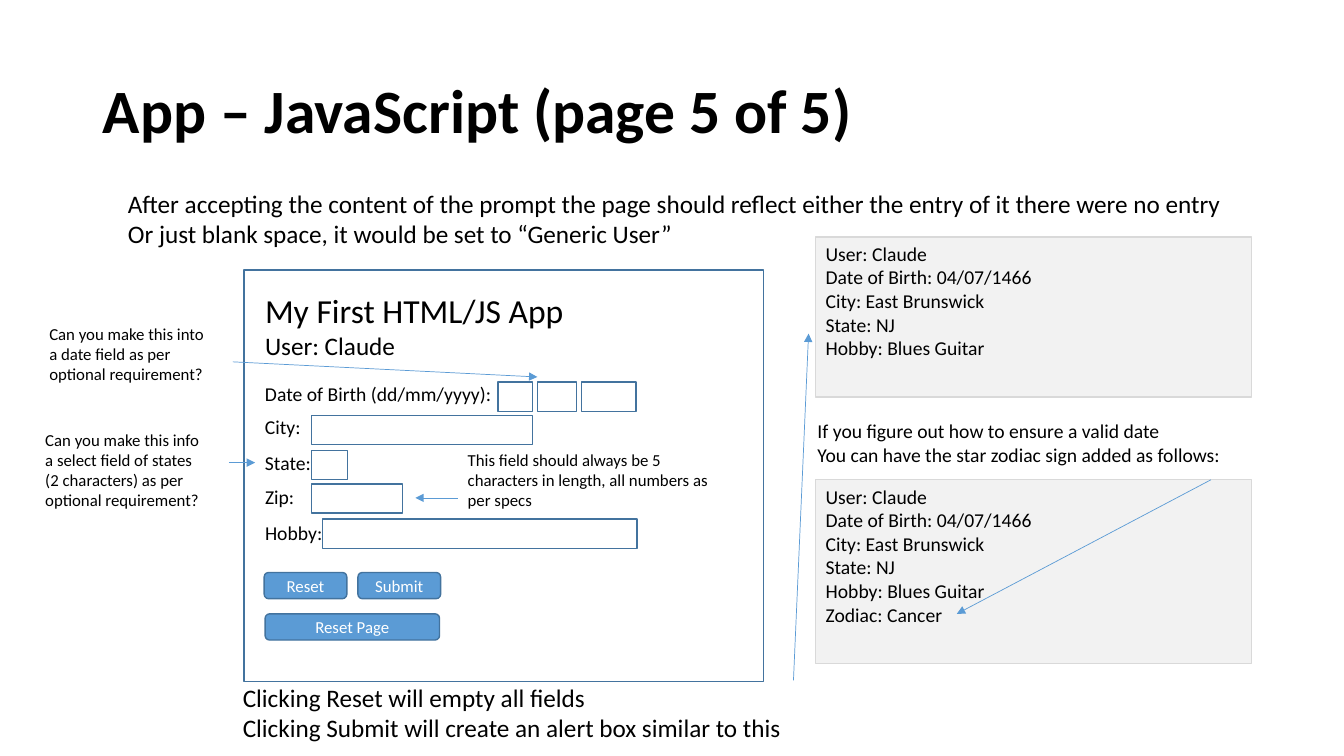
from dataclasses import dataclass

from lxml import etree
from pptx import Presentation
from pptx.dml.color import RGBColor
from pptx.enum import shapes, text
from pptx.oxml import ns
from pptx.util import Inches, Pt


@dataclass(frozen=True)
class Theme:
    font: str = "Calibri"
    black: str = "000000"
    white: str = "FFFFFF"
    blue: str = "5B9BD5"
    outline: str = "43739E"
    panel: str = "F2F2F2"
    panel_line: str = "D9D9D9"
    title: int = 44
    heading: int = 24
    body: int = 18
    label: int = 14
    note: int = 12


THEME = Theme()


@dataclass(frozen=True)
class Rect:
    left: float
    top: float
    width: float
    height: float

    def emu(self) -> tuple:
        return tuple(Inches(v) for v in (self.left, self.top, self.width, self.height))


@dataclass(frozen=True)
class Label:
    rect: Rect
    lines: list
    sizes: tuple
    wrap: bool = False


@dataclass(frozen=True)
class FormRow:
    label: str
    label_top: float
    label_width: float
    field_top: float
    fields: tuple


@dataclass(frozen=True)
class Button:
    caption: str
    left: float
    top: float
    width: float


@dataclass(frozen=True)
class Arrow:
    start: tuple
    end: tuple


def write(tf, lines: list, sizes: tuple, color: str = THEME.black, align=text.PP_ALIGN.LEFT) -> None:
    tf.text = "\n".join(lines)
    for i, p in enumerate(tf.paragraphs):
        p.alignment = align
        for r in p.runs:
            r.font.name = THEME.font
            r.font.size = Pt(sizes[min(i, len(sizes) - 1)])
            r.font.color.rgb = RGBColor.from_string(color)


def add_title(s, rect: Rect, caption: str) -> None:
    sp = s.shapes.title
    sp.left, sp.top, sp.width, sp.height = rect.emu()
    tf = sp.text_frame
    tf.vertical_anchor = text.MSO_ANCHOR.MIDDLE
    write(tf, [caption], (THEME.title,))
    p = tf.paragraphs[0]
    p.line_spacing = 0.9
    p.runs[0].font.bold = True


def add_label(s, label: Label) -> None:
    tf = s.shapes.add_textbox(*label.rect.emu()).text_frame
    tf.word_wrap = label.wrap
    tf.auto_size = text.MSO_AUTO_SIZE.SHAPE_TO_FIT_TEXT
    write(tf, label.lines, label.sizes)


def add_box(s, rect: Rect, fill: str = THEME.white, line: str = THEME.outline,
            kind=shapes.MSO_SHAPE.RECTANGLE):
    sp = s.shapes.add_shape(kind, *rect.emu())
    sp.shadow.inherit = False
    sp.fill.solid()
    sp.fill.fore_color.rgb = RGBColor.from_string(fill)
    sp.line.color.rgb = RGBColor.from_string(line)
    sp.line.width = Pt(1)
    return sp


def add_row(s, row: FormRow) -> None:
    add_label(s, Label(Rect(2.53, row.label_top, row.label_width, 0.34), [row.label], (THEME.label,)))
    for left, width in row.fields:
        add_box(s, Rect(left, row.field_top, width, 0.29))


def add_button(s, button: Button) -> None:
    rect = Rect(button.left, button.top, button.width, 0.26)
    tf = add_box(s, rect, THEME.blue, kind=shapes.MSO_SHAPE.ROUNDED_RECTANGLE).text_frame
    tf.vertical_anchor = text.MSO_ANCHOR.MIDDLE
    write(tf, [button.caption], (THEME.note,), THEME.white, text.PP_ALIGN.CENTER)


def add_alert(s, rect: Rect, lines: list) -> None:
    tf = add_box(s, rect, THEME.panel, THEME.panel_line).text_frame
    tf.vertical_anchor = text.MSO_ANCHOR.TOP
    write(tf, lines, (THEME.label,))


def add_arrow(s, arrow: Arrow) -> None:
    points = [Inches(v) for v in arrow.start + arrow.end]
    cxn = s.shapes.add_connector(shapes.MSO_CONNECTOR.STRAIGHT, *points)
    cxn.line.color.rgb = RGBColor.from_string(THEME.blue)
    cxn.line.width = Pt(0.5)
    etree.SubElement(cxn.line._get_or_add_ln(), ns.qn("a:tailEnd"), type="triangle")
    etree.SubElement(cxn._element.spPr, ns.qn("a:effectLst"))


ALERT = ["User: Claude", "Date of Birth: 04/07/1466", "City: East Brunswick", "State: NJ", "Hobby: Blues Guitar"]

LABELS = [
    Label(Rect(2.53, 2.83, 3.19, 0.81), ["My First HTML/JS App", "User: Claude"], (THEME.heading, THEME.body)),
    Label(Rect(1.17, 1.82, 11.25, 0.71),
          ["After accepting the content of the prompt the page should reflect either the entry of it there were no entry",
           "Or just blank space, it would be set to “Generic User”"], (THEME.body,)),
    Label(Rect(2.31, 6.72, 5.6, 0.71),
          ["Clicking Reset will empty all fields",
           "Clicking Submit will create an alert box similar to this"], (THEME.body,)),
    Label(Rect(8.01, 4.11, 4.23, 0.81),
          ["If you figure out how to ensure a valid date",
           "You can have the star zodiac sign added as follows:"], (THEME.label,)),
    Label(Rect(0.39, 3.16, 1.81, 0.71),
          ["Can you make this into a date field as per optional requirement?"], (THEME.note,), True),
    Label(Rect(0.35, 4.21, 1.81, 0.91),
          ["Can you make this info a select field of states (2 characters) as per optional requirement?"],
          (THEME.note,), True),
    Label(Rect(4.54, 4.41, 2.78, 0.71),
          ["This field should always be 5 characters in length, all numbers as per specs"], (THEME.note,), True),
]

ROWS = [
    FormRow("Date of Birth (dd/mm/yyyy):", 3.74, 2.47, 3.79, ((4.94, 0.34), (5.33, 0.39), (5.77, 0.54))),
    FormRow("City:", 4.07, 0.56, 4.12, ((3.09, 2.19),)),
    FormRow("State:", 4.42, 0.66, 4.47, ((3.09, 0.36),)),
    FormRow("Zip:", 4.76, 0.49, 4.8, ((3.09, 0.9),)),
    FormRow("Hobby:", 5.12, 0.78, 5.15, ((3.2, 3.12),)),
]

BUTTONS = [
    Button("Reset", 2.62, 5.68, 0.82),
    Button("Submit", 3.55, 5.68, 0.82),
    Button("Reset Page", 2.63, 6.09, 1.73),
]

ARROWS = [
    Arrow((7.87, 6.75), (8.02, 3.31)),
    Arrow((12.01, 4.76), (9.49, 6.09)),
    Arrow((2.31, 3.59), (5.33, 3.74)),
    Arrow((2.27, 4.59), (2.53, 4.59)),
    Arrow((4.54, 4.94), (4.12, 4.94)),
]


def main() -> None:
    prs = Presentation()
    prs.slide_width, prs.slide_height = Inches(13.33), Inches(7.5)
    s = prs.slides.add_slide(prs.slide_layouts[5])
    add_title(s, Rect(0.92, 0.4, 11.5, 1.45), "App – JavaScript (page 5 of 5)")
    add_box(s, Rect(2.42, 2.68, 5.15, 4.08))
    add_alert(s, Rect(8.09, 2.35, 4.32, 1.59), ALERT)
    add_alert(s, Rect(8.09, 4.76, 4.32, 1.82), ALERT + ["Zodiac: Cancer"])
    for draw, items in ((add_row, ROWS), (add_button, BUTTONS), (add_label, LABELS), (add_arrow, ARROWS)):
        for item in items:
            draw(s, item)
    prs.save("out.pptx")


if __name__ == "__main__":
    main()
